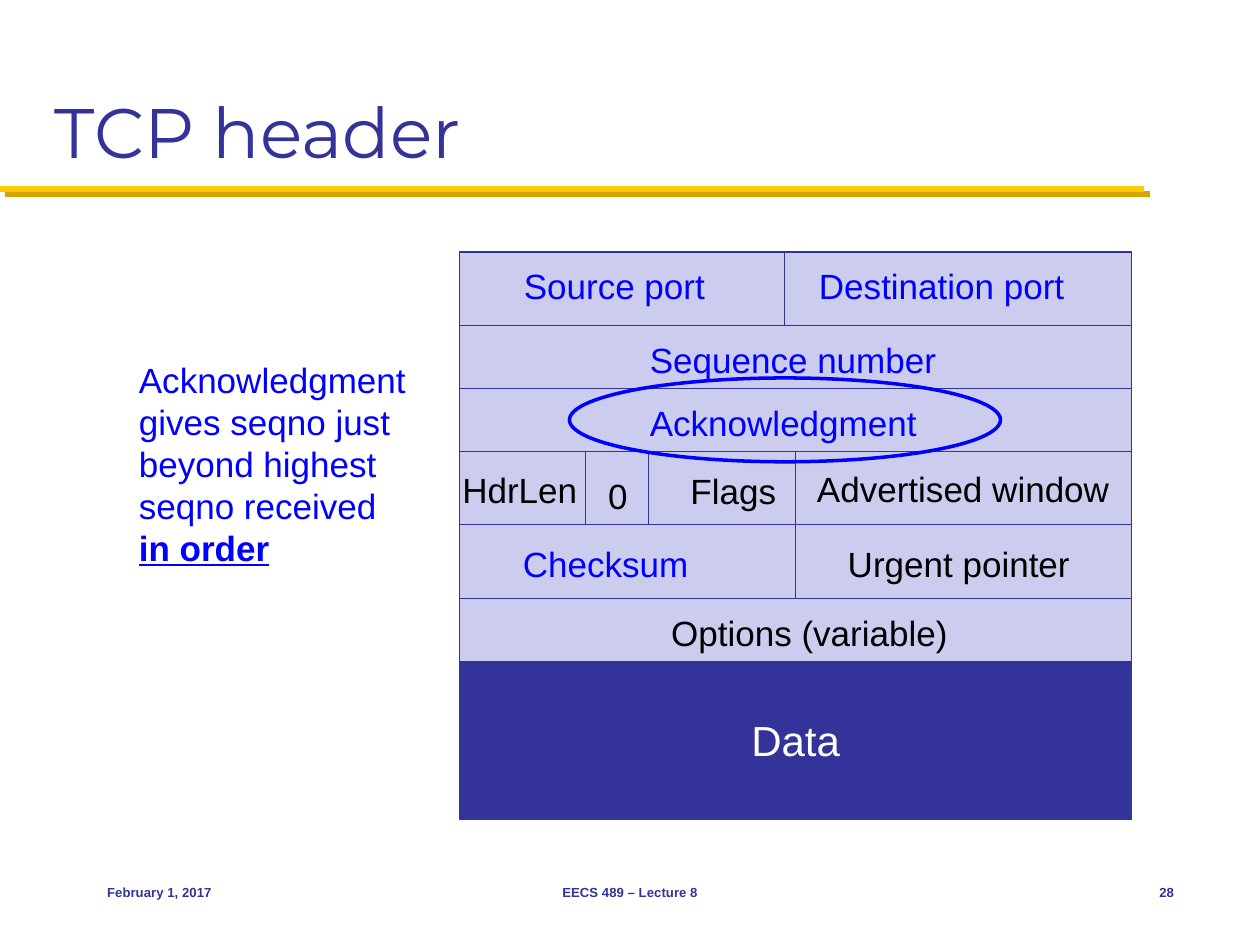
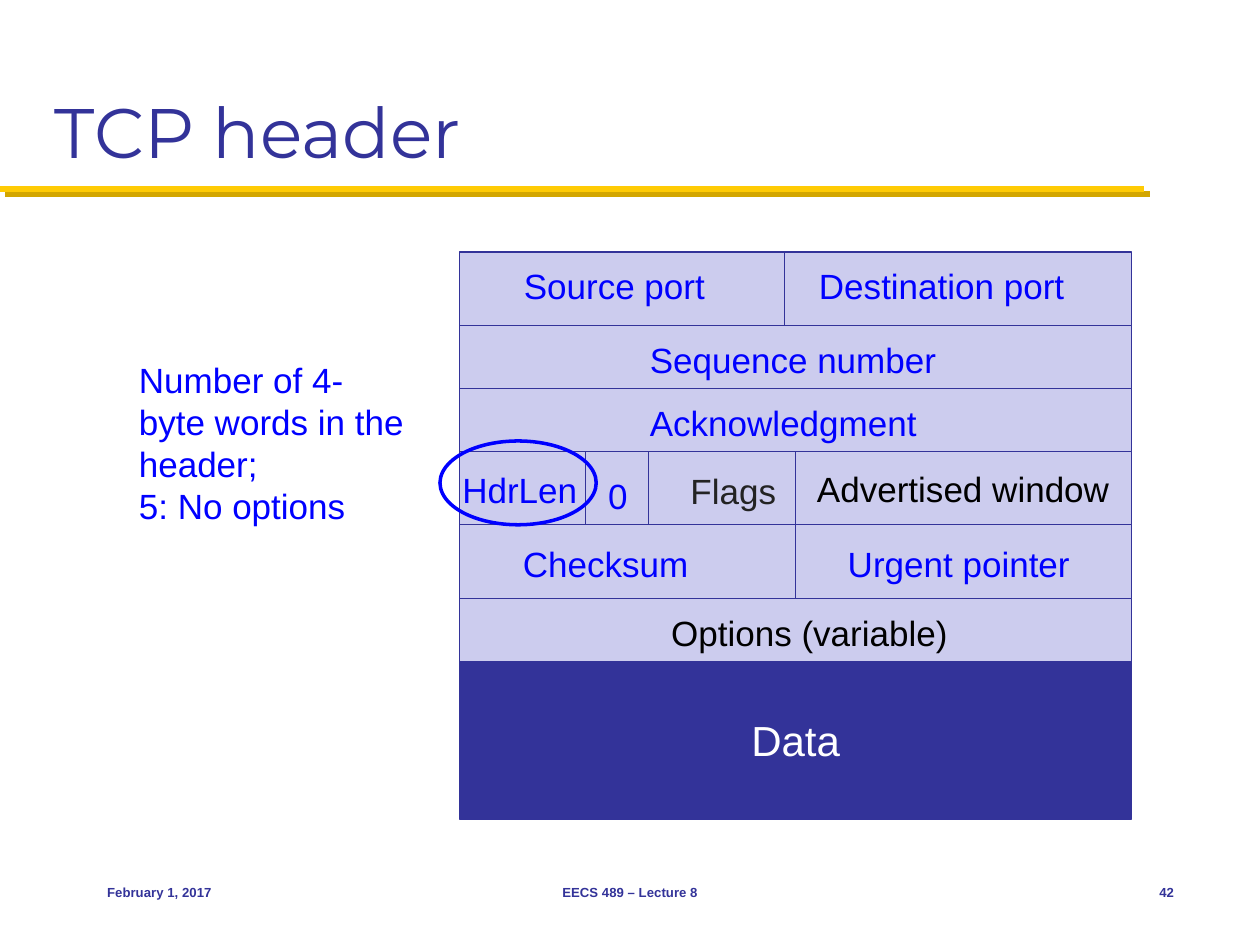
from lxml import etree
from pptx import Presentation
from pptx.dml.color import RGBColor
from pptx.enum.shapes import MSO_CONNECTOR, MSO_SHAPE
from pptx.enum.text import MSO_ANCHOR, MSO_AUTO_SIZE, PP_ALIGN
from pptx.oxml.ns import qn
from pptx.util import Cm, Pt

RECT, OVAL = MSO_SHAPE.RECTANGLE, MSO_SHAPE.OVAL
LINE = MSO_CONNECTOR.STRAIGHT
FIXED = MSO_AUTO_SIZE.NONE
TOP, MID, LOW = MSO_ANCHOR.TOP, MSO_ANCHOR.MIDDLE, MSO_ANCHOR.BOTTOM
LEFT, CENTER, RIGHT = PP_ALIGN.LEFT, PP_ALIGN.CENTER, PP_ALIGN.RIGHT

NAVY = RGBColor(0x33, 0x33, 0x99)
PALE = RGBColor(0xCC, 0xCC, 0xEE)
BLUE = RGBColor(0x00, 0x00, 0xFF)
GOLD = RGBColor(0xFF, 0xCB, 0x05)
OCHRE = RGBColor(0xD3, 0xA6, 0x00)
GREY = RGBColor(0x23, 0x23, 0x23)
BLACK = RGBColor(0, 0, 0)
WHITE = RGBColor(0xFF, 0xFF, 0xFF)

# Content; all lengths in cm
TITLE = "TCP header"
X, Y, WIDE = 9.27, 5.08, 13.54
HALF = WIDE / 2
TALL, SLIM = 1.48, 1.27

# Header rows: height, cell widths, dividers, labels (text, x, y, width)
ROWS = [
    (TALL, [6.55, 6.99], [], [("Source port", 1.04, 0.13, 4.4),
                              ("Destination port", 6.99, 0.13, 5.7)]),
    (SLIM, [WIDE], [], [("Sequence number", 3.58, 0.13, 6.6)]),
    (SLIM, [WIDE], [], [("Acknowledgment", 3.58, 0.13, 6.2)]),
    (TALL, [HALF, HALF], [2.54, 3.81], [("HdrLen", -0.2, 0.22, 2.97),
                                        ("0", 2.74, 0.35, 0.91),
                                        ("Flags", 4.4, 0.25, 2.3),
                                        ("Advertised window", 6.95, 0.19, 6.55)]),
    (TALL, [HALF, HALF], [], [("Checksum", 1.02, 0.24, 4.1),
                              ("Urgent pointer", 7.57, 0.24, 5.2)]),
    (SLIM, [WIDE], [], [("Options (variable)", 4.01, 0.14, 6.4)]),
]
DATA = 3.18

KNOWN = dict.fromkeys(["Source port", "Destination port", "Sequence number",
                       "Acknowledgment", "Checksum"], BLUE)
MORE = dict.fromkeys(["HdrLen", "0", "Urgent pointer"], BLUE)

SLIDES = [
    {"page": "28", "tints": KNOWN, "ring": (11.48, 7.62, 8.69, 1.69),
     "note": [[("Acknowledgment gives seqno just beyond highest seqno received ", False),
               ("in order", True)]]},
    {"page": "42", "tints": {**KNOWN, **MORE, "Flags": GREY},
     "ring": (8.87, 8.89, 3.15, 1.69),
     "note": [[("Number of 4-byte words in the header;", False)],
              [("5: No options", False)]]},
]

# Footer: text, x, width, alignment
FOOT = [("February 1, 2017", 1.91, 5.29, LEFT),
        ("EECS 489 – Lecture 8", 8.68, 8.04, CENTER)]


def style(para, size, tint, face="Arial", bold=False):
    for run in para.runs:
        font = run.font
        font.name, font.size, font.bold = face, Pt(size), bold
        font.color.rgb = tint


def add_text(slide, text, box, size, tint, align=LEFT, anchor=TOP, bold=False):
    frame = slide.shapes.add_textbox(*map(Cm, box)).text_frame
    frame.word_wrap = False
    frame.auto_size = FIXED
    frame.vertical_anchor = anchor
    frame.text = text
    para = frame.paragraphs[0]
    para.alignment = align
    style(para, size, tint, bold=bold)


def add_box(slide, kind, box, fill, line, width):
    shape = slide.shapes.add_shape(kind, *map(Cm, box))
    shape.shadow.inherit = False
    if fill is None:
        shape.fill.background()
    else:
        shape.fill.solid()
        shape.fill.fore_color.rgb = fill
    shape.line.color.rgb = line
    shape.line.width = Pt(width)
    return shape


def add_line(slide, ends, tint, width):
    line = slide.shapes.add_connector(LINE, *map(Cm, ends))
    line.line.color.rgb = tint
    line.line.width = Pt(width)
    props = line._element.spPr
    return etree.SubElement(props, qn("a:effectLst"))


def add_frame(slide, page):
    """Title, gold band and footer."""
    title = slide.shapes.title
    title.left, title.top, title.width, title.height = map(Cm, (0.85, 0.42, 23.71, 3.18))
    frame = title.text_frame
    frame.text = TITLE
    frame.vertical_anchor = LOW
    frame.auto_size = FIXED
    frame.paragraphs[0].alignment = LEFT
    style(frame.paragraphs[0], 40, NAVY, "Montserrat")

    effect = add_line(slide, (0, 3.81, 23.07, 3.81), GOLD, 3.5)
    shade = etree.SubElement(effect, qn("a:outerShdw"), dist=str(Pt(4.2)),
                             dir="2700000", algn="ctr", rotWithShape="0")
    etree.SubElement(shade, qn("a:srgbClr"), val=str(OCHRE))

    for text, x, wide, align in FOOT + [(page, 22.23, 1.69, RIGHT)]:
        add_text(slide, text, (x, 17.36, wide, 1.27), 7.5, NAVY, align, MID, True)


def add_header(slide, tints):
    """Rows of header fields above the data block."""
    y = Y
    for high, cells, cuts, labels in ROWS:
        x = X
        for wide in cells:
            add_box(slide, RECT, (x, y, wide, high), PALE, NAVY, 0.75)
            x += wide
        for cut in cuts:
            add_line(slide, (X + cut, y, X + cut, y + high), NAVY, 0.75)
        for text, dx, dy, wide in labels:
            add_text(slide, text, (X + dx, y + dy, wide, 1.1), 20,
                     tints.get(text, BLACK))
        y += high

    block = add_box(slide, RECT, (X, y, WIDE, DATA), NAVY, NAVY, 0.75)
    frame = block.text_frame
    frame.text = "Data"
    frame.word_wrap = False
    frame.vertical_anchor = MID
    frame.paragraphs[0].alignment = CENTER
    style(frame.paragraphs[0], 24, WHITE)


def add_note(slide, note):
    box = slide.shapes.add_textbox(*map(Cm, (2.55, 7.1, 5.93, 4.5)))
    frame = box.text_frame
    frame.word_wrap = True
    for i, parts in enumerate(note):
        para = frame.add_paragraph() if i else frame.paragraphs[0]
        for text, strong in parts:
            run = para.add_run()
            run.text = text
        style(para, 20, BLUE)
        for run, (text, strong) in zip(para.runs, parts):
            run.font.bold = run.font.underline = strong


def main():
    deck = Presentation()
    deck.slide_width, deck.slide_height = Cm(25.4), Cm(19.05)
    for item in SLIDES:
        slide = deck.slides.add_slide(deck.slide_layouts[5])
        add_frame(slide, item["page"])
        add_header(slide, item["tints"])
        add_box(slide, OVAL, item["ring"], None, BLUE, 2)
        add_note(slide, item["note"])
    deck.save("out.pptx")


if __name__ == "__main__":
    main()
